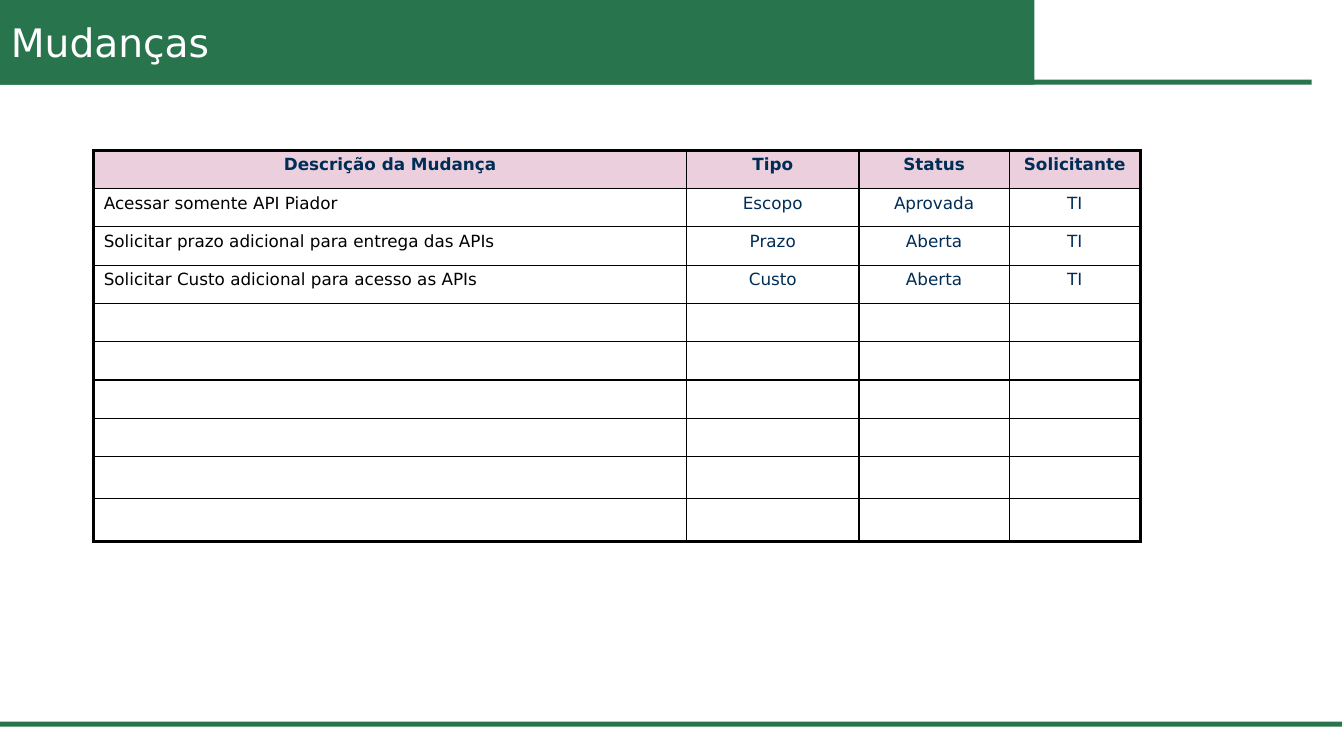
from dataclasses import dataclass

from lxml import etree
from pptx import Presentation
from pptx import util as u
from pptx.dml.color import RGBColor
from pptx.enum import shapes, text
from pptx.oxml.ns import qn


@dataclass(frozen=True)
class Theme:
    font: str = "DejaVu Sans"
    green: str = "28754D"
    header: str = "ECCFDC"
    navy: str = "002D56"
    black: str = "000000"
    white: str = "FFFFFF"
    title_size: float = 28
    table_size: float = 12
    thin: float = 1
    thick: float = 2.25


T = Theme()

COLS = [5.88, 1.71, 1.49, 1.3]
ROWS = [0.38] * 8 + [0.42] * 2
CHANGES = [
    ("Descrição da Mudança", "Tipo", "Status", "Solicitante"),
    ("Acessar somente API Piador", "Escopo", "Aprovada", "TI"),
    ("Solicitar prazo adicional para entrega das APIs", "Prazo", "Aberta", "TI"),
    ("Solicitar Custo adicional para acesso as APIs", "Custo", "Aberta", "TI"),
]


def style(p, size, color, bold=False):
    p.font.name = T.font
    p.font.size = u.Pt(size)
    p.font.bold = bold
    p.font.color.rgb = RGBColor.from_string(color)


def bar(s, x, y, w, h):
    sp = s.shapes.add_shape(shapes.MSO_SHAPE.RECTANGLE, *map(u.Inches, (x, y, w, h)))
    sp.shadow.inherit = False
    sp.fill.solid()
    sp.fill.fore_color.rgb = RGBColor.from_string(T.green)
    sp.line.fill.background()


def header(s, x, y, w, h):
    # Underline, then the title band above it
    bar(s, x, y + h - 0.05, w, 0.05)
    bar(s, x, y, 10.26, h)
    # Title
    sp = s.shapes.add_textbox(*map(u.Inches, (x + 0.01, y + 0.13, 6.21, 0.57)))
    tf = sp.text_frame
    tf.word_wrap = True
    p = tf.paragraphs[0]
    p.text = "Mudanças"
    style(p, T.title_size, T.white)


def footer(s, x, y, w, h):
    bar(s, x, y, w, h)


def set_borders(cell, widths):
    tc_pr = cell._tc.get_or_add_tcPr()
    for side, width in widths.items():
        ln = etree.SubElement(tc_pr, qn(f"a:ln{side}"), w=str(u.Pt(width)))
        fill = etree.SubElement(ln, qn("a:solidFill"))
        etree.SubElement(fill, qn("a:srgbClr"), val=T.black)


def changes_table(s, x, y, w, h):
    last_row, last_col = len(ROWS) - 1, len(COLS) - 1
    table = s.shapes.add_table(len(ROWS), len(COLS), *map(u.Inches, (x, y, w, h))).table
    for col, width in zip(table.columns, COLS):
        col.width = u.Inches(width)
    for row, height in zip(table.rows, ROWS):
        row.height = u.Inches(height)

    for i in range(len(ROWS)):
        for j in range(len(COLS)):
            cell = table.cell(i, j)
            # Thick outer frame, thin inner grid
            outer = {"L": j == 0, "R": j == last_col, "T": i == 0, "B": i == last_row}
            set_borders(cell, {k: T.thick if edge else T.thin for k, edge in outer.items()})
            if i == 0:
                cell.fill.solid()
                cell.fill.fore_color.rgb = RGBColor.from_string(T.header)
            else:
                cell.fill.background()
            # Descriptions are black and left-aligned, the rest navy and centred
            description = i > 0 and j == 0
            p = cell.text_frame.paragraphs[0]
            if i < len(CHANGES):
                p.text = CHANGES[i][j]
            p.alignment = text.PP_ALIGN.LEFT if description else text.PP_ALIGN.CENTER
            style(p, T.table_size, T.black if description else T.navy, bold=i == 0)


prs = Presentation()
prs.slide_width, prs.slide_height = u.Inches(13.33), u.Inches(7.5)
s = prs.slides.add_slide(prs.slide_layouts[6])
header(s, 0, 0, 13.01, 0.84)
footer(s, 0, 7.16, 13.31, 0.05)
changes_table(s, 0.93, 1.49, sum(COLS), sum(ROWS))
prs.save("out.pptx")
